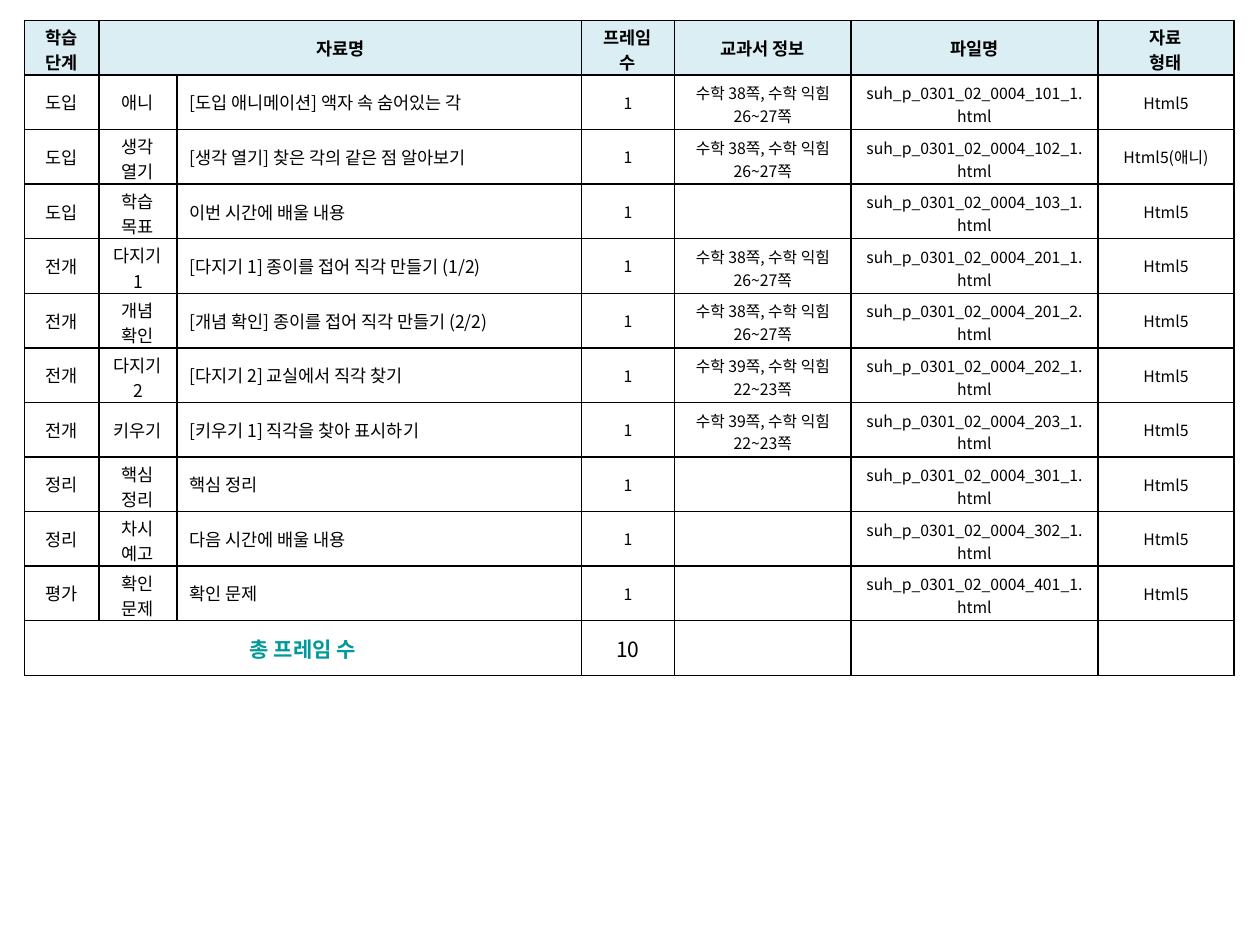
import lxml.etree
import pptx
import pptx.dml.color
import pptx.enum.text
import pptx.oxml.ns
import pptx.util

BLACK = pptx.dml.color.RGBColor(0x00, 0x00, 0x00)
WHITE = pptx.dml.color.RGBColor(0xFF, 0xFF, 0xFF)
PALE_BLUE = pptx.dml.color.RGBColor(0xDB, 0xEE, 0xF4)
TEAL = pptx.dml.color.RGBColor(0x00, 0x99, 0x99)

FONT = "Noto Sans CJK KR"
CENTER = pptx.enum.text.PP_ALIGN.CENTER
LEFT = pptx.enum.text.PP_ALIGN.LEFT

COLUMN_WIDTHS = [42.5, 44.6, 231.1, 53.3, 100.8, 141.1, 77.8]
ROW_HEIGHT = 31.2

# Cell margins in points: side, top, bottom; two lines must fit the row height
ONE_LINE = (7.2, 3.6, 3.6)
TWO_LINES = (7.6, 2.2, 0)
TWO_SMALL_LINES = (7.2, 3.6, 1.4)
NARROW_COLUMNS = (0, 1, 3, 6)
SMALL_TEXT_COLUMNS = (4, 5)

HEADER = ["학습 단계", "자료명", "", "프레임 수", "교과서 정보", "파일명", "자료\n형태"]
TOTAL = ["총 프레임 수", "", "", "10", "", "", ""]
PAGES_38 = "수학 38쪽, 수학 익힘 26~27쪽"
PAGES_39 = "수학 39쪽, 수학 익힘 22~23쪽"

# stage, label, title, textbook pages, file code, file type
LESSONS = [
    ("도입", "애니", "[도입 애니메이션] 액자 속 숨어있는 각", PAGES_38, "101_1", "Html5"),
    ("도입", "생각 열기", "[생각 열기] 찾은 각의 같은 점 알아보기", PAGES_38, "102_1", "Html5(애니)"),
    ("도입", "학습 목표", "이번 시간에 배울 내용", "", "103_1", "Html5"),
    ("전개", "다지기 1", "[다지기 1] 종이를 접어 직각 만들기 (1/2)", PAGES_38, "201_1", "Html5"),
    ("전개", "개념 확인", "[개념 확인] 종이를 접어 직각 만들기 (2/2)", PAGES_38, "201_2", "Html5"),
    ("전개", "다지기 2", "[다지기 2] 교실에서 직각 찾기", PAGES_39, "202_1", "Html5"),
    ("전개", "키우기", "[키우기 1] 직각을 찾아 표시하기", PAGES_39, "203_1", "Html5"),
    ("정리", "핵심 정리", "핵심 정리", "", "301_1", "Html5"),
    ("정리", "차시 예고", "다음 시간에 배울 내용", "", "302_1", "Html5"),
    ("평가", "확인 문제", "확인 문제", "", "401_1", "Html5"),
]


class SlideBuilder:
    def __init__(self, slide, font_name):
        self.slide = slide
        self.font_name = font_name

    def add_table(self, left, top, column_widths, row_count, row_height):
        Pt = pptx.util.Pt
        table = self.slide.shapes.add_table(
            row_count, len(column_widths), Pt(left), Pt(top),
            Pt(sum(column_widths)), Pt(row_count * row_height)).table
        table.first_row = table.horz_banding = False
        for column, width in zip(table.columns, column_widths):
            column.width = Pt(width)
        for row in table.rows:
            row.height = Pt(row_height)
        return table

    def add_borders(self, cell, color, width):
        properties = cell._tc.get_or_add_tcPr()
        qn = pptx.oxml.ns.qn
        for tag in ("a:lnL", "a:lnR", "a:lnT", "a:lnB"):
            line = lxml.etree.SubElement(properties, qn(tag), w=str(pptx.util.Pt(width)))
            fill = lxml.etree.SubElement(line, qn("a:solidFill"))
            lxml.etree.SubElement(fill, qn("a:srgbClr"), val=str(color))

    def fill_cell(self, cell, text, size, bold=False, color=BLACK, fill=None,
                  align=CENTER, margins=ONE_LINE):
        Pt = pptx.util.Pt
        self.add_borders(cell, BLACK, 1)
        if fill is None:
            cell.fill.background()
        else:
            cell.fill.solid()
            cell.fill.fore_color.rgb = fill
        side, top, bottom = margins
        cell_format = {
            "vertical_anchor": pptx.enum.text.MSO_ANCHOR.MIDDLE,
            "margin_left": Pt(side), "margin_right": Pt(side),
            "margin_top": Pt(top), "margin_bottom": Pt(bottom),
        }
        for name, value in cell_format.items():
            setattr(cell, name, value)
        cell.text_frame.text = text
        for paragraph in cell.text_frame.paragraphs:
            paragraph.alignment = align
            for run in paragraph.runs:
                self.format_run(run, {"name": self.font_name, "size": Pt(size), "bold": bold}, color)
            if not paragraph.runs:
                # An empty cell keeps its row low only with a small end mark
                lxml.etree.SubElement(paragraph._p, pptx.oxml.ns.qn("a:endParaRPr"),
                                      sz=str(size * 100))

    def format_run(self, run, font_format, color):
        for name, value in font_format.items():
            setattr(run.font, name, value)
        run.font.color.rgb = color
        lxml.etree.SubElement(run._r.get_or_add_rPr(), pptx.oxml.ns.qn("a:ea"),
                              typeface=self.font_name)


def choose_margins(column, text):
    """Return tighter margins for a text that takes two lines in its column."""
    if column in SMALL_TEXT_COLUMNS and len(text) > 10:
        return TWO_SMALL_LINES
    if column in NARROW_COLUMNS and len(text.split()) > 1:
        return TWO_LINES
    return ONE_LINE


def main():
    presentation = pptx.Presentation()
    presentation.slide_width = pptx.util.Pt(720)
    presentation.slide_height = pptx.util.Pt(540)
    slide = presentation.slides.add_slide(presentation.slide_layouts[6])
    builder = SlideBuilder(slide, FONT)

    last_row = len(LESSONS) + 1
    table = builder.add_table(14, 11.7, COLUMN_WIDTHS, last_row + 1, ROW_HEIGHT)

    for column, text in enumerate(HEADER):
        builder.fill_cell(table.cell(0, column), text, 10, bold=True, fill=PALE_BLUE,
                          margins=choose_margins(column, text))

    for row, (stage, label, title, pages, code, file_type) in enumerate(LESSONS, start=1):
        file_name = f"suh_p_0301_02_0004_{code}.html"
        fill = WHITE if stage == "평가" else None
        for column, text in enumerate([stage, label, title, "1", pages, file_name, file_type]):
            builder.fill_cell(table.cell(row, column), text, 10 if column < 3 else 9,
                              fill=fill, align=LEFT if column == 2 else CENTER,
                              margins=choose_margins(column, text))

    for column, text in enumerate(TOTAL):
        is_label = column == 0
        builder.fill_cell(table.cell(last_row, column), text, 12, bold=is_label,
                          color=TEAL if is_label else BLACK, fill=WHITE)

    table.cell(0, 1).merge(table.cell(0, 2))
    table.cell(last_row, 0).merge(table.cell(last_row, 2))
    presentation.save("out.pptx")


if __name__ == "__main__":
    main()
